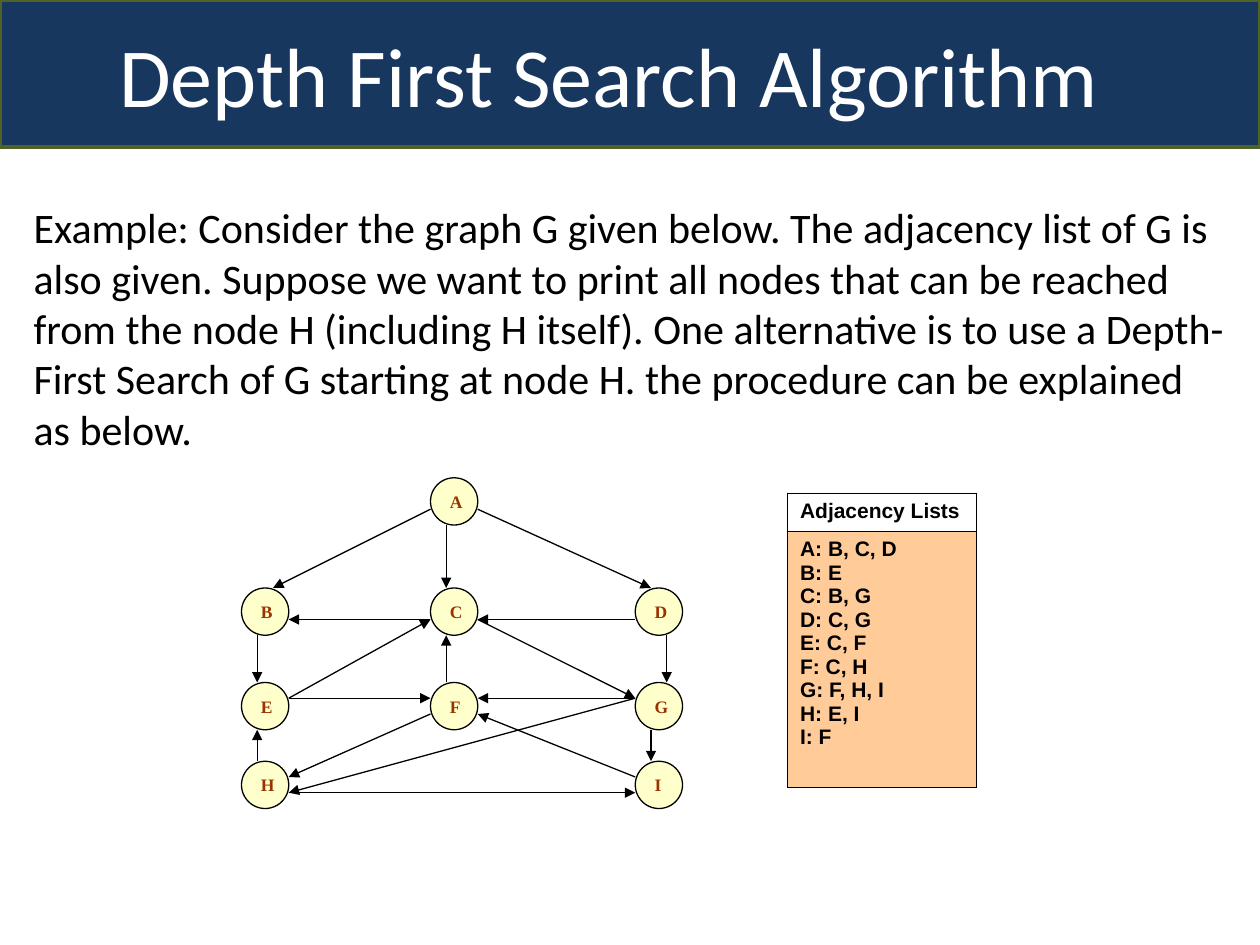
"""Build a slide that introduces depth-first search on a small directed graph."""
from lxml import etree
from pptx import Presentation
from pptx.dml.color import RGBColor
from pptx.enum.shapes import MSO_CONNECTOR, MSO_SHAPE
from pptx.enum.text import MSO_ANCHOR, MSO_AUTO_SIZE, PP_ALIGN
from pptx.oxml.ns import qn
from pptx.util import Pt

STRAIGHT = MSO_CONNECTOR.STRAIGHT
OVAL = MSO_SHAPE.OVAL
TOP, MIDDLE = MSO_ANCHOR.TOP, MSO_ANCHOR.MIDDLE
LEFT, CENTER, JUSTIFY = PP_ALIGN.LEFT, PP_ALIGN.CENTER, PP_ALIGN.JUSTIFY
NO_FIT = MSO_AUTO_SIZE.NONE


def color(value):
    return RGBColor.from_string(value)


def style(para, name, size, ink, align, bold=False):
    para.alignment = align
    para.font.name = name
    para.font.size = Pt(size)
    para.font.bold = bold
    para.font.color.rgb = color(ink)


deck = Presentation()
deck.slide_width, deck.slide_height = Pt(720), Pt(540)
page = deck.slides.add_slide(deck.slide_layouts[1])

title = page.shapes.title
title.left, title.top, title.width, title.height = Pt(0), Pt(0), Pt(720), Pt(84)
title.fill.solid()
title.fill.fore_color.rgb = color("17375E")
title.line.color.rgb = color("4F6228")
title.line.width = Pt(2)
title.text_frame.text = "Depth First Search Algorithm"
title.text_frame.auto_size = NO_FIT
title.text_frame.vertical_anchor = MIDDLE
title.text_frame.margin_right = Pt(31)
style(title.text_frame.paragraphs[0], "Calibri", 48, "FFFFFF", CENTER)

body = page.placeholders[1]
body.left, body.top, body.width, body.height = Pt(12), Pt(111.6), Pt(696), Pt(152.4)
body.text_frame.text = (
    "Example: Consider the graph G given below. The adjacency list of G is also given. "
    "Suppose we want to print all nodes that can be reached from the node H (including H "
    "itself). One alternative is to use a Depth- First Search of G starting at node H. "
    "the procedure can be explained as below."
)
body.text_frame.auto_size = NO_FIT
para = body.text_frame.paragraphs[0]
properties = para._p.get_or_add_pPr()
properties.set("marL", "0")
properties.set("indent", "0")
etree.SubElement(properties, qn("a:buNone"))
para.space_before = Pt(0)
style(para, "Calibri", 24, "000000", LEFT)

NODE_SIZE = 27
columns = (138, 246, 363)
rows = {273: " A ", 336: "BCD", 390: "EFG", 435: "H I"}
nodes = {
    letter: (x, y)
    for y, letters in rows.items()
    for x, letter in zip(columns, letters)
    if letter != " "
}
for letter, (x, y) in nodes.items():
    node = page.shapes.add_shape(OVAL, Pt(x), Pt(y), Pt(NODE_SIZE), Pt(NODE_SIZE))
    node.shadow.inherit = False
    node.fill.solid()
    node.fill.fore_color.rgb = color("FFFFCC")
    node.line.color.rgb = color("000000")
    node.line.width = Pt(0.75)
    node.text_frame.text = letter
    node.text_frame.vertical_anchor = TOP
    style(node.text_frame.paragraphs[0], "Times New Roman", 10, "993300", LEFT, True)

edges = [
    ("A", (0, 18), "B", (18, 0)),
    ("A", (9, 27), "C", (9, 0)),
    ("A", (27, 18), "D", (9, 0)),
    ("B", (9, 27), "E", (9, 0)),
    ("C", (0, 18), "B", (27, 18)),
    ("C", (27, 18), "G", (0, 9)),
    ("D", (0, 18), "C", (27, 18)),
    ("D", (18, 27), "G", (18, 0)),
    ("E", (27, 9), "C", (0, 18)),
    ("E", (27, 9), "F", (0, 9)),
    ("F", (9, 0), "C", (9, 27)),
    ("F", (0, 18), "H", (27, 9)),
    ("G", (0, 9), "F", (27, 9)),
    ("G", (0, 9), "H", (27, 18)),
    ("G", (9, 27), "I", (9, 0)),
    ("H", (9, 0), "E", (9, 27)),
    ("H", (27, 18), "I", (0, 18)),
    ("I", (0, 9), "F", (27, 18)),
]
for source, exit_offset, target, entry_offset in edges:
    ends = [
        Pt(corner + shift)
        for letter, offset in ((source, exit_offset), (target, entry_offset))
        for corner, shift in zip(nodes[letter], offset)
    ]
    arrow = page.shapes.add_connector(STRAIGHT, *ends)
    arrow.line.color.rgb = color("000000")
    arrow.line.width = Pt(0.75)
    etree.SubElement(arrow.line._get_or_add_ln(), qn("a:tailEnd"), type="triangle")
    etree.SubElement(arrow._element.spPr, qn("a:effectLst"))

adjacency = ["A: B, C, D", "B: E", "C: B, G", "D: C, G", "E: C, F",
             "F: C, H", "G: F, H, I", "H: E, I", "I: F"]
table = page.shapes.add_table(2, 1, Pt(450), Pt(282), Pt(108), Pt(168)).table
table.first_row = table.horz_banding = False
contents = [(["Adjacency Lists"], 21.6, "FFFFFF"), (adjacency, 146.4, "FFCC99")]
for index, (lines, height, fill) in enumerate(contents):
    table.rows[index].height = Pt(height)
    cell = table.cell(index, 0)
    cell.text = "\n".join(lines)
    for para in cell.text_frame.paragraphs:
        properties = para._p.get_or_add_pPr()
        properties.set("marL", str(Pt(27)))
        properties.set("indent", str(Pt(-27)))
        style(para, "Arial", 12, "000000", JUSTIFY, True)
    for side in ("lnL", "lnR", "lnT", "lnB"):
        border = etree.SubElement(cell._tc.get_or_add_tcPr(), qn(f"a:{side}"), w=str(Pt(1)))
        paint = etree.SubElement(border, qn("a:solidFill"))
        etree.SubElement(paint, qn("a:srgbClr"), val="000000")
    cell.fill.solid()
    cell.fill.fore_color.rgb = color(fill)

deck.save("out.pptx")
